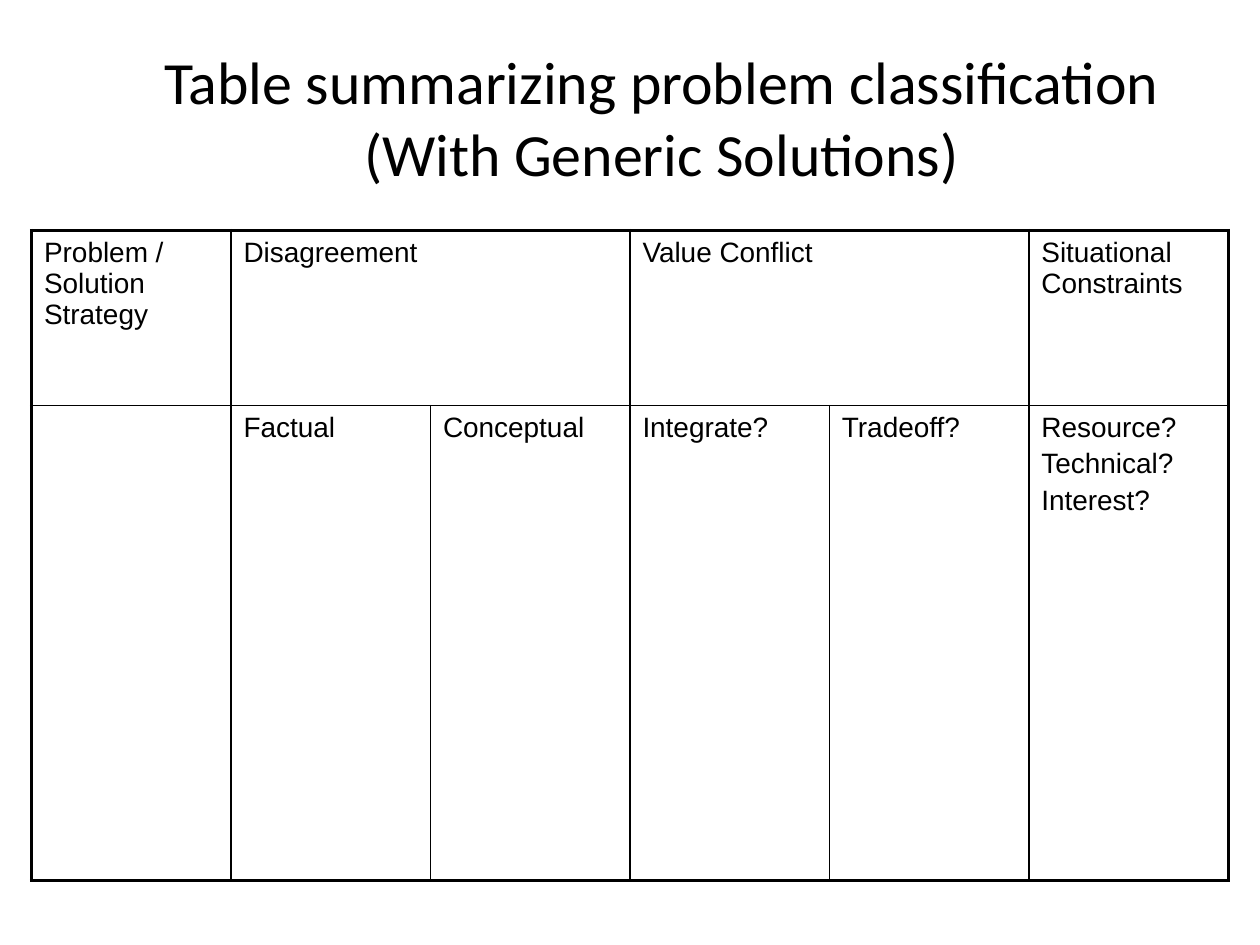
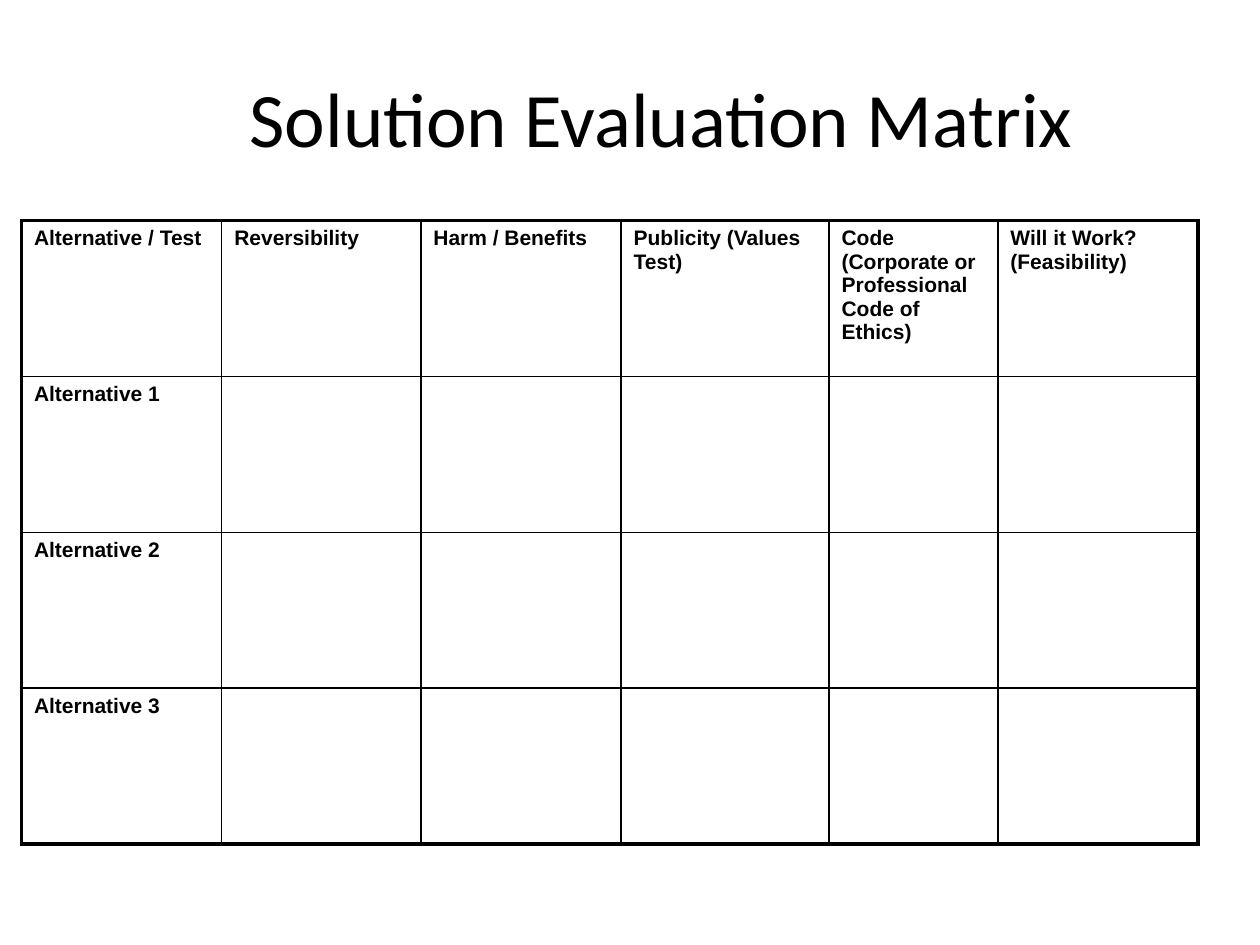
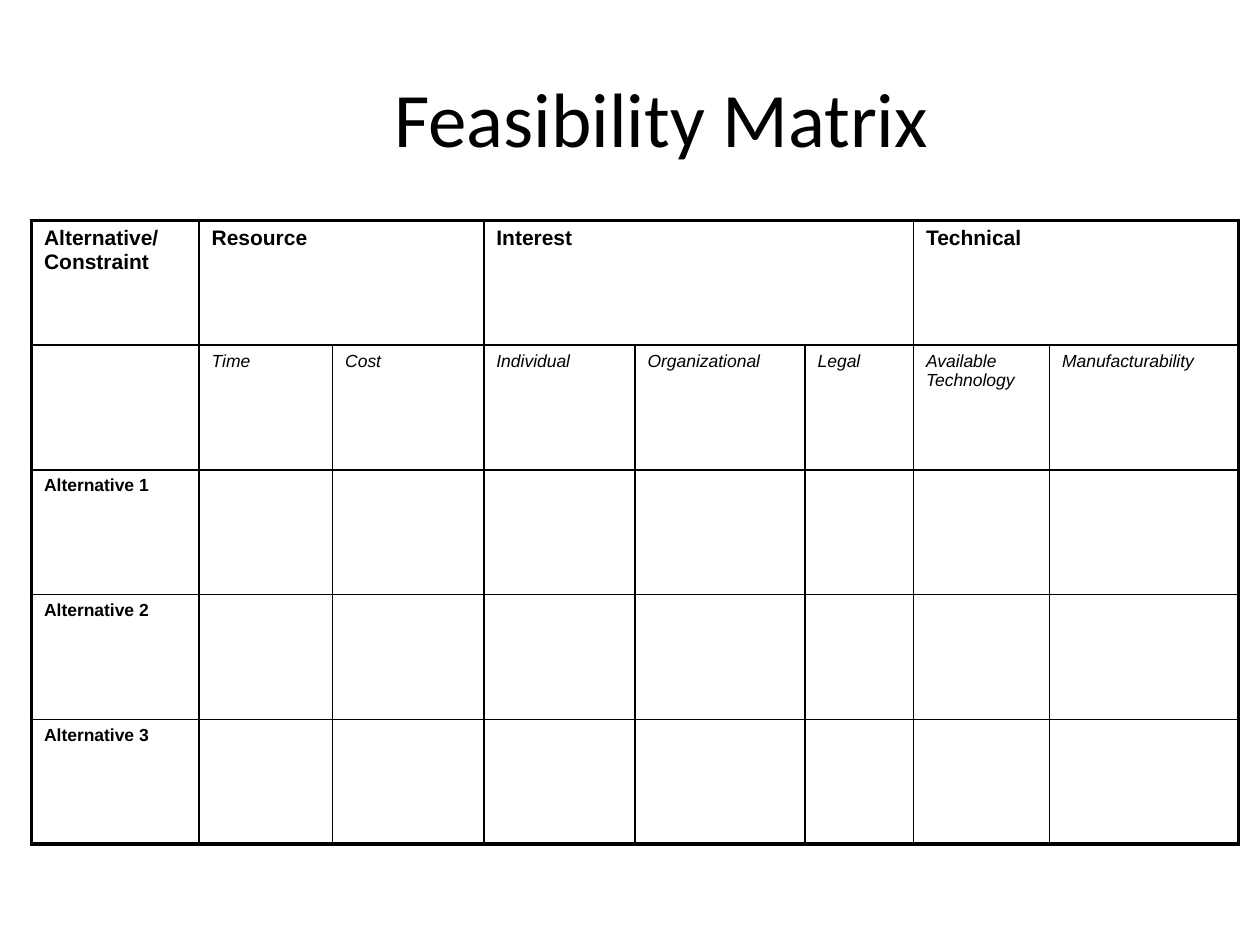
from dataclasses import dataclass

from lxml.etree import SubElement
from pptx import Presentation
from pptx.dml.color import RGBColor
from pptx.enum.text import MSO_ANCHOR, MSO_AUTO_SIZE, PP_ALIGN
from pptx.oxml.ns import qn
from pptx.util import Inches, Pt


@dataclass(frozen=True)
class Theme:
    ink: str = "000000"
    title_font: str = "Calibri"
    body_font: str = "Arial"
    title: float = 44
    long_title: float = 34.2
    large: float = 16
    medium: float = 12
    small: float = 10
    outer_line: float = 2.25
    inner_line: float = 1
    space_before: float = 0.2  # share of the type size


T = Theme()
INK = RGBColor.from_string(T.ink)

# Row styles: size, bold, italic
PLAIN = (T.large, False, False)
HEAD = (T.medium, True, False)
SUBHEAD = (T.small, False, True)
LABEL = (T.small, True, False)

ALTERNATIVES = [f"Alternative {n}" for n in (1, 2, 3)]

# Each row is (style, cells); None continues the cell to its left
SLIDES = [
    dict(
        title="Table summarizing problem classification (With Generic Solutions)",
        title_size=T.long_title,
        left=0.25, top=1.83,
        widths=[9.5 / 6] * 6,
        heights=[1.39, 3.77],
        rows=[
            (PLAIN, ["Problem / Solution Strategy", "Disagreement", None,
                     "Value Conflict", None, "Situational Constraints"]),
            (PLAIN, ["", "Factual", "Conceptual", "Integrate?", "Tradeoff?",
                     "Resource?\nTechnical?\nInterest?"]),
        ],
    ),
    dict(
        title="Solution Evaluation Matrix",
        title_size=T.title,
        left=0.17, top=1.75,
        widths=[1.59, 1.58, 1.59, 1.65, 1.34, 1.59],
        heights=[4.95 / 4] * 4,
        rows=[
            (HEAD, ["Alternative / Test", "Reversibility", "Harm / Benefits",
                    "Publicity (Values Test)",
                    "Code (Corporate or Professional Code of Ethics)",
                    "Will it Work? (Feasibility)"]),
            *[(HEAD, [name] + [""] * 5) for name in ALTERNATIVES],
        ],
    ),
    dict(
        title="Feasibility Matrix",
        title_size=T.title,
        left=0.25, top=1.75,
        widths=[1.33, 1.06, 1.2, 1.2, 1.35, 0.86, 1.08, 1.5],
        heights=[4.95 / 5] * 5,
        rows=[
            (HEAD, ["Alternative/ Constraint", "Resource", None,
                    "Interest", None, None, "Technical", None]),
            (SUBHEAD, ["", "Time", "Cost", "Individual", "Organizational",
                       "Legal", "Available Technology", "Manufacturability"]),
            *[(LABEL, [name] + [""] * 7) for name in ALTERNATIVES],
        ],
    ),
]


def format_run(r, font, size, bold=False, italic=False):
    r.font.name = font
    r.font.size = Pt(size)
    r.font.bold = bold
    r.font.italic = italic
    r.font.color.rgb = INK


def set_borders(cell, left, right, top, bottom):
    """Draw the four edges; a true flag marks an outer edge of the table."""
    tc_pr = cell._tc.get_or_add_tcPr()
    for side, outer in zip("LRTB", (left, right, top, bottom)):
        width = Pt(T.outer_line if outer else T.inner_line)
        ln = SubElement(tc_pr, qn(f"a:ln{side}"), w=str(width))
        fill = SubElement(ln, qn("a:solidFill"))
        SubElement(fill, qn("a:srgbClr"), val=T.ink)


prs = Presentation()
prs.slide_width, prs.slide_height = Inches(10), Inches(7.5)
title_only = prs.slide_layouts[5]

for page in SLIDES:
    s = prs.slides.add_slide(title_only)

    # Title
    sp = s.shapes.title
    sp.left, sp.top = Inches(1), Inches(0.3)
    sp.width, sp.height = Inches(8.5), Inches(1.25)
    tf = sp.text_frame
    tf.text = page["title"]
    tf.word_wrap = True
    tf.auto_size = MSO_AUTO_SIZE.NONE
    tf.vertical_anchor = MSO_ANCHOR.MIDDLE
    p = tf.paragraphs[0]
    p.alignment = PP_ALIGN.CENTER
    format_run(p.runs[0], T.title_font, page["title_size"])

    # Table grid
    widths, heights, rows = page["widths"], page["heights"], page["rows"]
    table = s.shapes.add_table(
        len(rows), len(widths), Inches(page["left"]), Inches(page["top"]),
        Inches(sum(widths)), Inches(sum(heights))).table
    table.first_row = table.horz_banding = False
    for column, width in zip(table.columns, widths):
        column.width = Inches(width)
    for row, height in zip(table.rows, heights):
        row.height = Inches(height)

    # Cells: merge, text, borders
    for i, (style, texts) in enumerate(rows):
        for j, text in enumerate(texts):
            cell = table.cell(i, j)
            if text is None:
                cell.fill.background()
                continue
            end = j
            while end + 1 < len(texts) and texts[end + 1] is None:
                end += 1
            if end > j:
                cell.merge(table.cell(i, end))
            cell.text_frame.text = text
            for p in cell.text_frame.paragraphs:
                p.space_before = Pt(T.space_before * style[0])
                for r in p.runs:
                    format_run(r, T.body_font, *style)
            set_borders(cell, left=j == 0, right=end == len(texts) - 1,
                        top=i == 0, bottom=i == len(rows) - 1)
            cell.fill.background()

prs.save("out.pptx")
